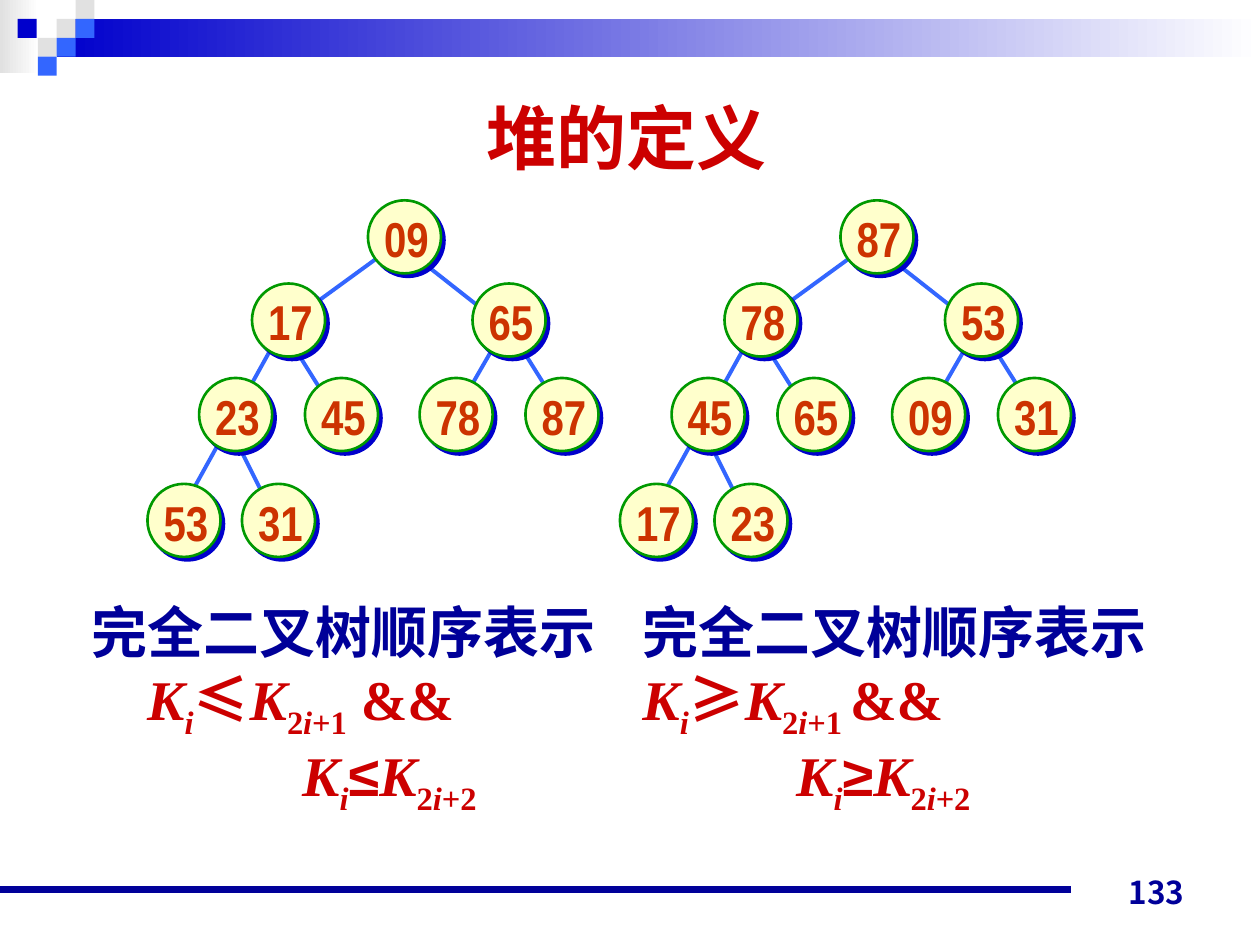
from lxml import etree
from pptx import Presentation
from pptx.dml.color import RGBColor
from pptx.enum.shapes import MSO_CONNECTOR, MSO_SHAPE
from pptx.enum.text import MSO_ANCHOR, MSO_AUTO_SIZE, PP_ALIGN
from pptx.oxml.ns import qn
from pptx.util import Inches, Pt

STRAIGHT = MSO_CONNECTOR.STRAIGHT
RECTANGLE, OVAL = MSO_SHAPE.RECTANGLE, MSO_SHAPE.OVAL
MIDDLE, BOTTOM = MSO_ANCHOR.MIDDLE, MSO_ANCHOR.BOTTOM
NO_FIT, GROW = MSO_AUTO_SIZE.NONE, MSO_AUTO_SIZE.SHAPE_TO_FIT_TEXT
CENTER, RIGHT = PP_ALIGN.CENTER, PP_ALIGN.RIGHT

CHINESE, SERIF = "Noto Sans CJK SC", "Times New Roman"
NAVY, BLUE, SKY, GRAY, RED = "000099", "0000CC", "3366FF", "E1E1E1", "CC0000"

SQUARE = 0.15
SQUARES = [(0.45, 0.15, GRAY), (0.6, 0, GRAY), (0.6, 0.15, SKY), (0.3, 0.3, GRAY),
           (0.14, 0.15, BLUE), (0.45, 0.3, SKY), (0.3, 0.45, SKY)]

TREE_GAP = 3.75
NODE_SIZE = 0.58
NODE_PLACES = [(2.92, 1.59), (2, 2.25), (3.75, 2.25), (1.58, 3), (2.42, 3),
               (3.33, 3), (4.17, 3), (1.17, 3.84), (1.92, 3.84)]
BRANCHES = [((2.25, 2.59), (1.42, 4.09)), ((3.92, 2.75), (3.58, 3.34)),
            ((4.08, 2.67), (4.5, 3.34)), ((2.33, 2.75), (2.75, 3.42)),
            ((1.92, 3.59), (2.25, 4.25)), ((3.25, 2), (4, 2.59)),
            ((3.17, 1.92), (2.25, 2.59))]
MIN_HEAP = ["09", "17", "65", "23", "45", "78", "87", "53", "31"]
MAX_HEAP = ["87", "78", "53", "45", "65", "09", "31", "17", "23"]


def color(value):
    return RGBColor.from_string(value)


def add_span(para, text, size, font, value, italic=False, lowered=False, east=None):
    span = para.add_run()
    span.text = text
    span.font.size = Pt(size)
    span.font.bold = True
    span.font.italic = italic
    span.font.color.rgb = color(value)
    span.font.name = font
    properties = span._r.get_or_add_rPr()
    etree.SubElement(properties, qn("a:ea")).set("typeface", east or font)
    if lowered:
        properties.set("baseline", "-25000")


def add_bar(page, left, top, width, height, value, fade=False):
    bar = page.shapes.add_shape(RECTANGLE, Inches(left), Inches(top),
                                Inches(width), Inches(height))
    bar.shadow.inherit = False
    bar.line.fill.background()
    if fade:
        bar.fill.gradient()
        bar.fill.gradient_angle = 0
        for stop, shade in zip(bar.fill.gradient_stops, (value, "FFFFFF")):
            stop.color.rgb = color(shade)
    else:
        bar.fill.solid()
        bar.fill.fore_color.rgb = color(value)


def add_line(page, start, end, value, width):
    line = page.shapes.add_connector(STRAIGHT, *map(Inches, start + end))
    line.line.color.rgb = color(value)
    line.line.width = Pt(width)
    etree.SubElement(line._element.spPr, qn("a:effectLst"))


def add_node(page, left, top, key):
    node = page.shapes.add_shape(OVAL, Inches(left), Inches(top),
                                 Inches(NODE_SIZE), Inches(NODE_SIZE))
    node.fill.solid()
    node.fill.fore_color.rgb = color("FFFFCC")
    node.line.color.rgb = color("009900")
    node.line.width = Pt(1.5)
    node.shadow.inherit = False
    effects = node._element.spPr.find(qn("a:effectLst"))
    shadow = etree.SubElement(effects, qn("a:outerShdw"), dist=str(Pt(2.8)),
                              dir="2700000", algn="ctr", rotWithShape="0")
    etree.SubElement(shadow, qn("a:srgbClr"), val=BLUE)
    frame = node.text_frame
    frame.word_wrap = False
    frame.vertical_anchor = MIDDLE
    frame.margin_left = Inches(0.03)
    frame.margin_right = frame.margin_bottom = 0
    frame.margin_top = Inches(0.02)
    para = frame.paragraphs[0]
    para.alignment = CENTER
    add_span(para, key, 28, "Arial Narrow", "CC3300")


def add_tree(page, offset, keys):
    for (x1, y1), (x2, y2) in BRANCHES:
        add_line(page, (x1 + offset, y1), (x2 + offset, y2), SKY, 2.25)
    for (left, top), key in zip(NODE_PLACES, keys):
        add_node(page, left + offset, top, key)


def add_formula(frame, indent, sign, sign_font, child):
    para = frame.add_paragraph()
    para._p.get_or_add_pPr().set("marL", str(Inches(indent)))
    for text, font, italic, lowered in [
            ("K", SERIF, True, False), ("i", SERIF, True, True),
            (sign, sign_font, False, False), ("K", SERIF, True, False),
            ("2", SERIF, False, True), ("i", SERIF, True, True),
            (child, SERIF, False, True)]:
        add_span(para, text, 32, font, RED, italic, lowered)
    return para


def add_definition(page, left, sign, indents, child, joiner):
    box = page.shapes.add_textbox(Inches(left), Inches(4.69), Inches(4.22), Inches(1.7))
    frame = box.text_frame
    frame.word_wrap = False
    frame.auto_size = GROW
    add_span(frame.paragraphs[0], "完全二叉树顺序表示", 32, "Arial", NAVY, east=CHINESE)
    first = add_formula(frame, indents[0], sign, CHINESE, child)
    add_span(first, joiner, 32, SERIF, RED)
    add_formula(frame, indents[1], sign, "Arial", "+2")


def add_title(page):
    title = page.shapes.title
    title.left, title.top = Inches(0.47), Inches(0.58)
    title.width, title.height = Inches(9), Inches(1.01)
    frame = title.text_frame
    frame.auto_size = NO_FIT
    frame.vertical_anchor = MIDDLE
    para = frame.paragraphs[0]
    para.alignment = CENTER
    add_span(para, "堆的定义", 40, "Arial", RED, east=CHINESE)


def add_page_number(page):
    box = page.shapes.add_textbox(Inches(7.17), Inches(6.78), Inches(2.33), Inches(0.5))
    box.text_frame.word_wrap = True
    box.text_frame.vertical_anchor = BOTTOM
    para = box.text_frame.paragraphs[0]
    para.alignment = RIGHT
    add_span(para, "133", 18, "Noto Sans CJK JP", NAVY)


def main():
    deck = Presentation()
    deck.slide_width, deck.slide_height = Inches(10), Inches(7.5)
    page = deck.slides.add_slide(deck.slide_layouts[5])
    add_bar(page, 0, 0, 0.31, 0.58, GRAY, fade=True)
    add_bar(page, 0.45, 0.15, 9.55, 0.3, BLUE, fade=True)
    for left, top, value in SQUARES:
        add_bar(page, left, top, SQUARE, SQUARE, value)
    add_line(page, (0, 7.06), (8.5, 7.06), NAVY, 4.5)
    add_page_number(page)
    add_definition(page, 0.63, "≤", (0.44, 1.67), "+1", " &&")
    add_definition(page, 5, "≥", (0, 1.22), "+1 ", "&&")
    add_tree(page, 0, MIN_HEAP)
    add_tree(page, TREE_GAP, MAX_HEAP)
    add_title(page)
    deck.save("out.pptx")


if __name__ == "__main__":
    main()
